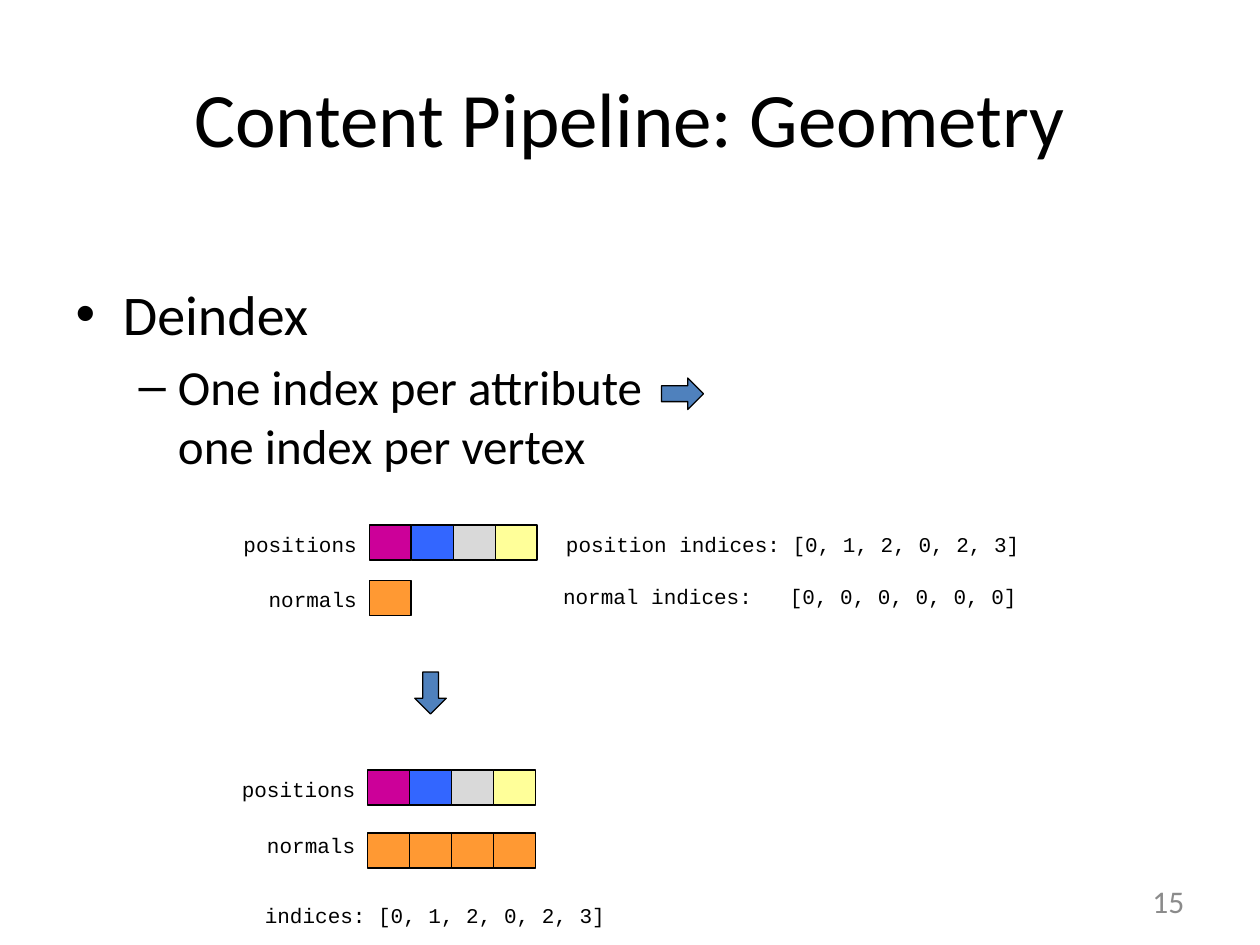
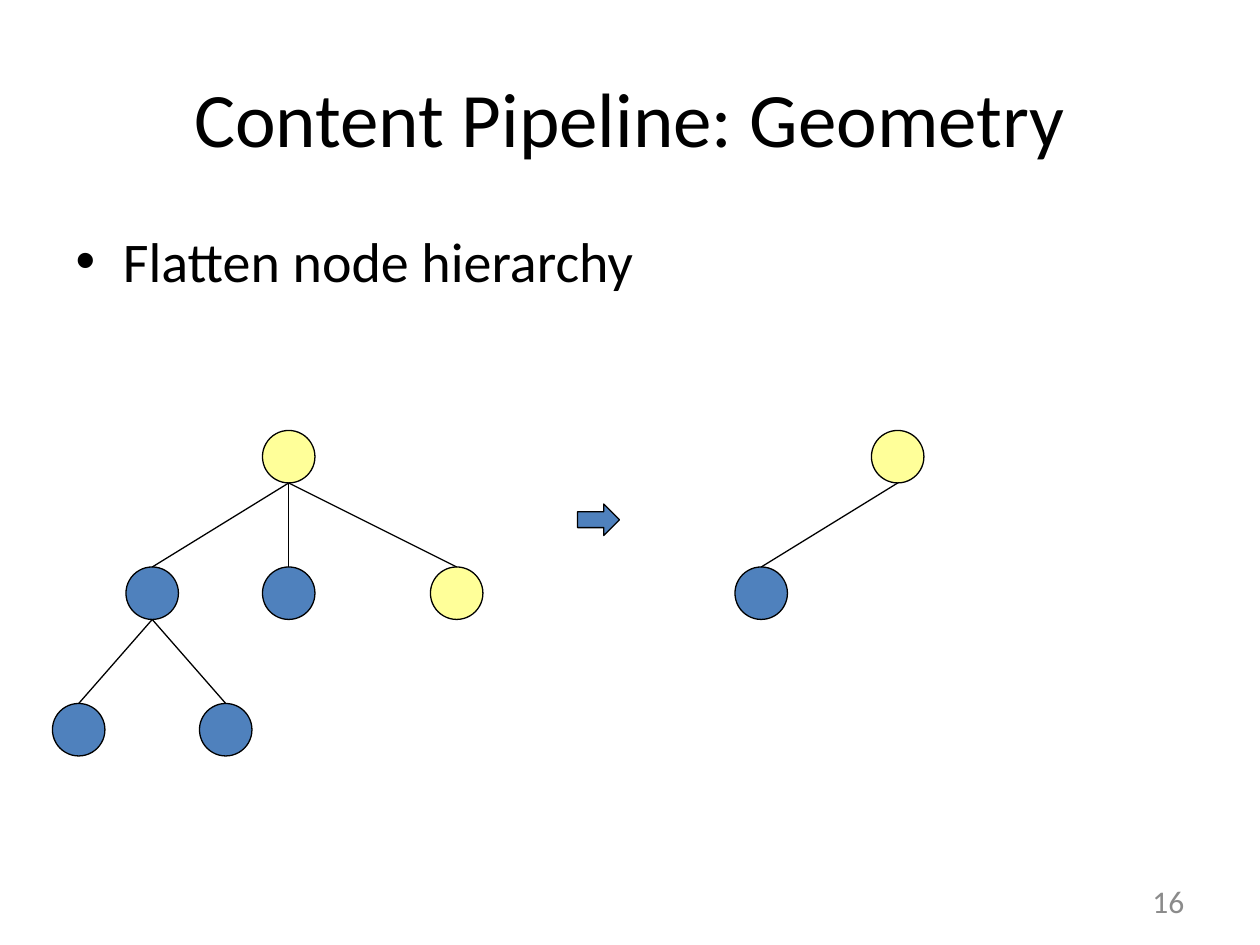
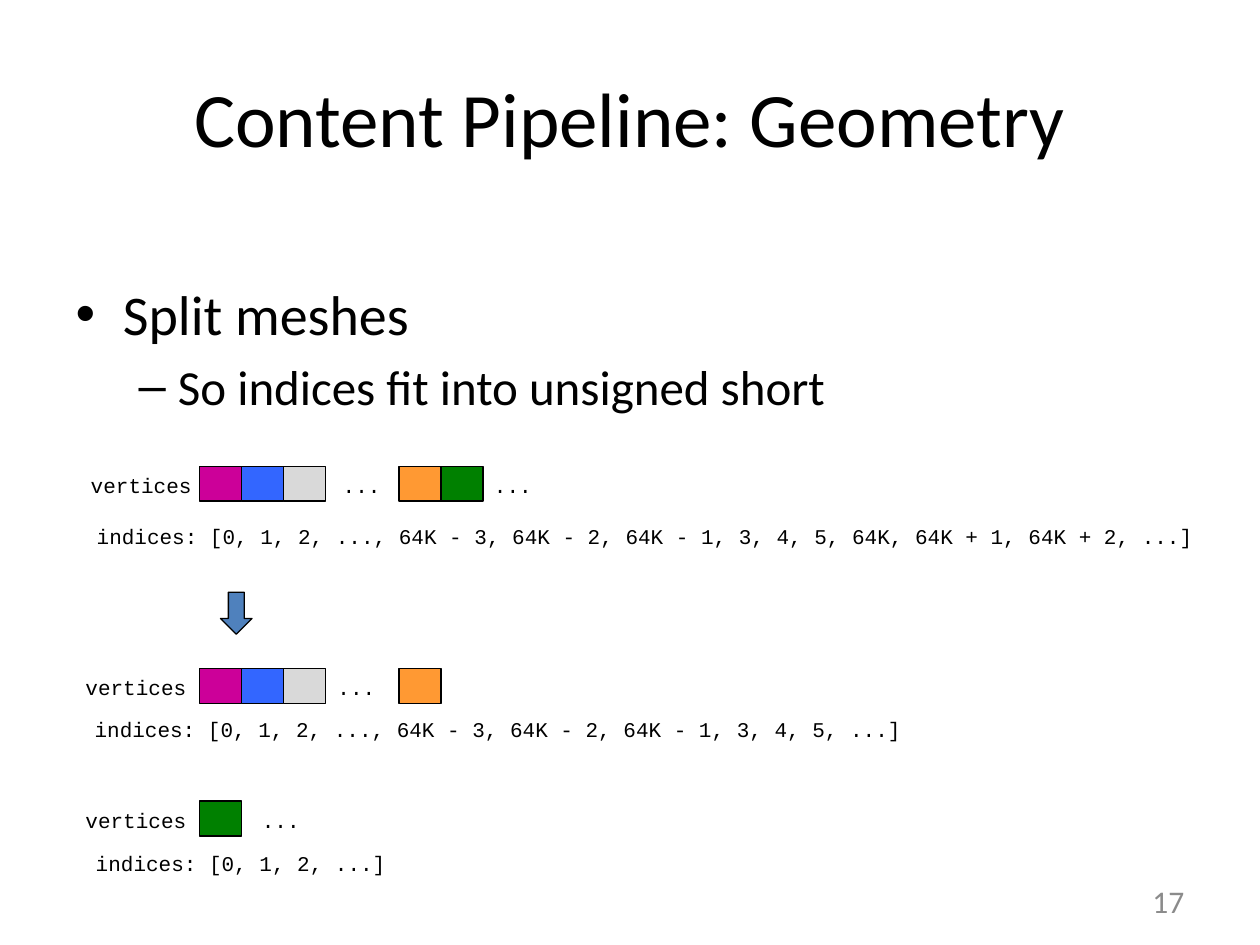
from copy import deepcopy
from dataclasses import dataclass

from pptx import Presentation
from pptx import util as u
from pptx.dml.color import RGBColor
from pptx.enum import shapes, text
from pptx.oxml.ns import qn
from lxml import etree

FIRST_NUMBER = 15
HEADING = "Content Pipeline: Geometry"


@dataclass(frozen=True)
class Theme:
    ink: str = "000000"
    blue: str = "4F81BD"
    magenta: str = "CC0099"
    azure: str = "3366FF"
    grey: str = "D9D9D9"
    yellow: str = "FFFF99"
    orange: str = "FF9933"
    green: str = "008000"
    sans: str = "Calibri"
    mono: str = "Courier New"
    heading_size: int = 44
    list_sizes: tuple = (32, 28)
    code_size: int = 12
    stroke: float = 0.75


def apply(target, **values):
    for name, value in values.items():
        setattr(target, name, value)


class Deck:
    COLUMNS, ROWS = 120, 90
    CELL_WIDTH, CELL_HEIGHT = 4, 3.33
    NODE = 5
    CHARACTER, LABEL_PADDING, LABEL_HEIGHT = 1.2, 2.64, 3.6

    def __init__(self, theme):
        self.theme = theme
        self.prs = Presentation()
        apply(self.prs, slide_width=u.Inches(10), slide_height=u.Inches(7.5))
        self.prs.element.set("firstSlideNum", str(FIRST_NUMBER))
        self.slide = None

    def grid(self, *lengths):
        steps = (self.prs.slide_width / self.COLUMNS, self.prs.slide_height / self.ROWS)
        return [u.Emu(round(n * steps[i % 2])) for i, n in enumerate(lengths)]

    def style(self, font, size, face):
        apply(font, size=u.Pt(size), name=face)
        font.color.rgb = RGBColor.from_string(self.theme.ink)

    def place(self, placeholder, box):
        apply(placeholder, **dict(zip(("left", "top", "width", "height"), self.grid(*box))))
        apply(placeholder.text_frame, auto_size=text.MSO_AUTO_SIZE.NONE, word_wrap=True)
        return placeholder.text_frame

    def new_slide(self, points, body_box):
        layout = self.prs.slide_layouts[1]
        self.slide = self.prs.slides.add_slide(layout)
        heading, body = self.slide.placeholders
        heading_frame = self.place(heading, (6, 3.6, 108, 15))
        heading_frame.text = HEADING
        self.style(heading_frame.paragraphs[0].runs[0].font,
                   self.theme.heading_size, self.theme.sans)
        body_frame = self.place(body, body_box)
        body_frame.text = "\n".join(points)
        for level, point in enumerate(body_frame.paragraphs):
            point.level = level
            self.style(point.runs[0].font, self.theme.list_sizes[level], self.theme.sans)
        self.page_number(layout)

    def page_number(self, layout):
        for holder in layout.placeholders:
            if holder.placeholder_format.type == shapes.PP_PLACEHOLDER.SLIDE_NUMBER:
                number = deepcopy(holder.element)
                shown = FIRST_NUMBER + len(self.prs.slides) - 1
                next(number.iter(qn("a:t"))).text = str(shown)
                self.slide.shapes._spTree.append(number)

    def shape(self, kind, box, fill):
        drawn = self.slide.shapes.add_shape(kind, *self.grid(*box))
        drawn.shadow.inherit = False
        drawn.fill.solid()
        drawn.fill.fore_color.rgb = RGBColor.from_string(fill)
        self.outline(drawn.line)
        return drawn

    def outline(self, line):
        line.width = u.Pt(self.theme.stroke)
        line.color.rgb = RGBColor.from_string(self.theme.ink)

    def cells(self, left, top, *fills):
        for i, fill in enumerate(fills):
            self.shape(shapes.MSO_SHAPE.RECTANGLE,
                       (left + i * self.CELL_WIDTH, top, self.CELL_WIDTH, self.CELL_HEIGHT), fill)

    def arrow(self, left, top, rotation=0):
        self.shape(shapes.MSO_SHAPE.RIGHT_ARROW, (left, top, 4, 3),
                   self.theme.blue).rotation = rotation

    def label(self, right, top, wording, *stops):
        length = (stops[-1] if stops else 0) + len(wording.split("\t")[-1])
        width = length * self.CHARACTER + self.LABEL_PADDING
        box = self.slide.shapes.add_textbox(
            *self.grid(right - width, top, width, self.LABEL_HEIGHT))
        box.text_frame.word_wrap = True
        line = box.text_frame.paragraphs[0]
        line.alignment = text.PP_ALIGN.LEFT if stops else text.PP_ALIGN.RIGHT
        run = line.add_run()
        run.text = wording
        self.style(run.font, self.theme.code_size, self.theme.mono)
        if stops:
            tabs = etree.SubElement(line._p.get_or_add_pPr(), qn("a:tabLst"))
            for stop in stops:
                position = self.grid(stop * self.CHARACTER)[0]
                etree.SubElement(tabs, qn("a:tab"), pos=str(position), algn="l")

    def tree(self, nodes, edges):
        for left, top, fill in nodes:
            self.shape(shapes.MSO_SHAPE.OVAL, (left, top, self.NODE, self.NODE), fill)
        for parent, child in edges:
            (x1, y1, _), (x2, y2, _) = nodes[parent], nodes[child]
            half = self.NODE / 2
            edge = self.slide.shapes.add_connector(
                shapes.MSO_CONNECTOR.STRAIGHT,
                *self.grid(x1 + half, y1 + self.NODE, x2 + half, y2))
            self.outline(edge.line)
            etree.SubElement(edge._element.spPr, qn("a:effectLst"))


def deindex(deck):
    c = deck.theme
    vertex_fills = (c.magenta, c.azure, c.grey, c.yellow)
    deck.new_slide(["Deindex", "One index per attribute one index per vertex"], (6, 26, 62, 21))
    deck.arrow(63, 36)
    deck.cells(35.16, 50, *vertex_fills)
    deck.cells(35.16, 55.32, c.orange)
    deck.label(35.16, 50, "positions")
    deck.label(35.16, 55.32, "normals")
    deck.label(98.28, 50, "position indices: [0, 1, 2, 0, 2, 3]")
    deck.label(98.28, 55, "normal indices:\t[0, 0, 0, 0, 0, 0]", 18)
    deck.arrow(39, 64.5, 90)
    deck.cells(35, 73.33, *vertex_fills)
    deck.cells(35, 79.33, *[c.orange] * 4)
    deck.label(35, 73.33, "positions")
    deck.label(35, 78.7, "normals")
    deck.label(58.8, 85.33, "indices: [0, 1, 2, 0, 2, 3]")


def flatten(deck):
    c = deck.theme
    deck.new_slide(["Flatten node hierarchy"], (6, 21, 108, 59.4))
    deck.tree([(25, 41, c.yellow), (12, 54, c.blue), (25, 54, c.blue),
               (41, 54, c.yellow), (5, 67, c.blue), (19, 67, c.blue)],
              [(0, 1), (0, 2), (0, 3), (1, 4), (1, 5)])
    deck.arrow(55, 48)
    deck.tree([(83, 41, c.yellow), (70, 54, c.blue)], [(0, 1)])


def split(deck):
    c = deck.theme
    leading_fills = (c.magenta, c.azure, c.grey)
    deck.new_slide(["Split meshes", "So indices fit into unsigned short"], (6, 26, 108, 15))
    deck.label(52.1, 44.4, "vertices\t...\t...", 20, 32)
    deck.cells(19, 44.4, *leading_fills)
    deck.cells(38, 44.4, c.orange, c.green)
    deck.label(114.8, 49.3, "indices: [0, 1, 2, ..., 64K - 3, 64K - 2, 64K - 1, "
                            "3, 4, 5, 64K, 64K + 1, 64K + 2, ...]")
    deck.arrow(20.5, 56.9, 90)
    deck.label(37.2, 63.7, "vertices\t...", 20)
    deck.cells(19, 63.7, *leading_fills)
    deck.cells(38, 63.7, c.orange)
    deck.label(87, 67.7, "indices: [0, 1, 2, ..., 64K - 3, 64K - 2, 64K - 1, 3, 4, 5, ...]")
    deck.label(30, 76.3, "vertices\t...", 14)
    deck.cells(19, 76.3, c.green)
    deck.label(37.9, 80.4, "indices: [0, 1, 2, ...]")


def main():
    deck = Deck(Theme())
    for build in (deindex, flatten, split):
        build(deck)
    deck.prs.save("out.pptx")


if __name__ == "__main__":
    main()
